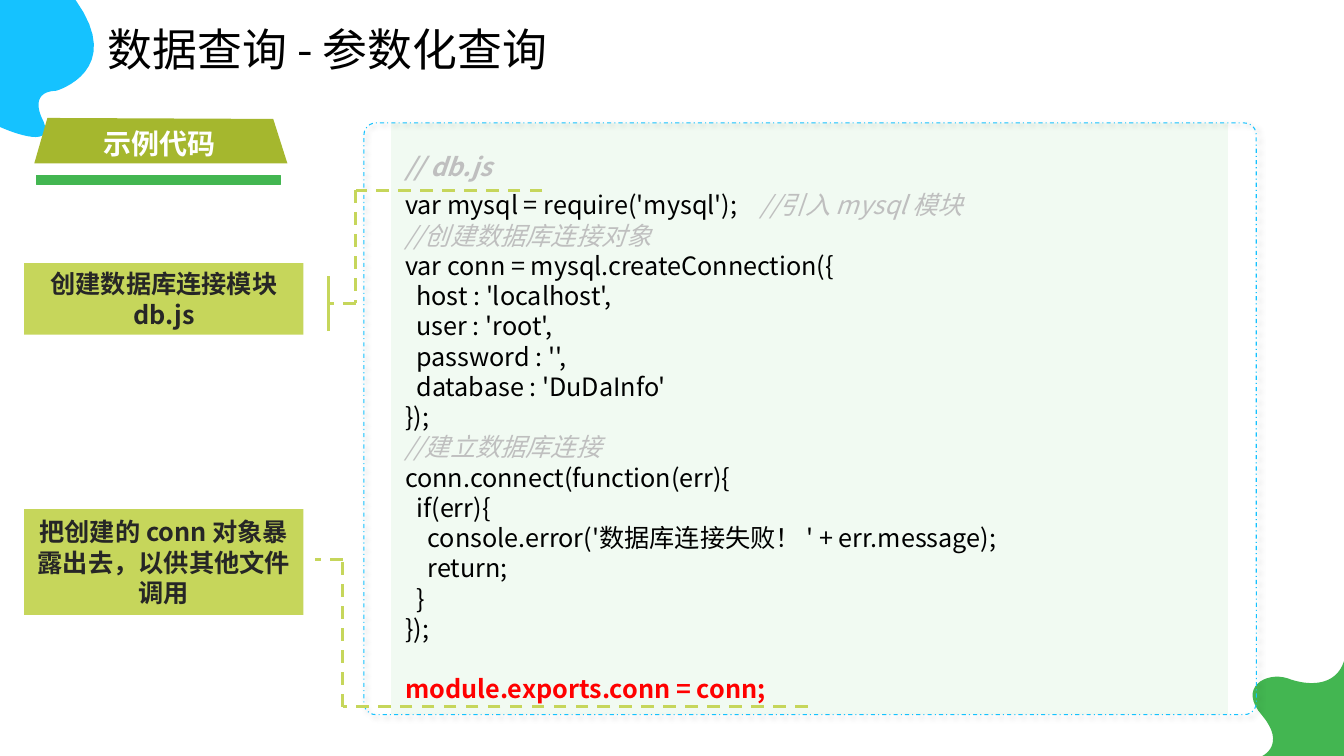
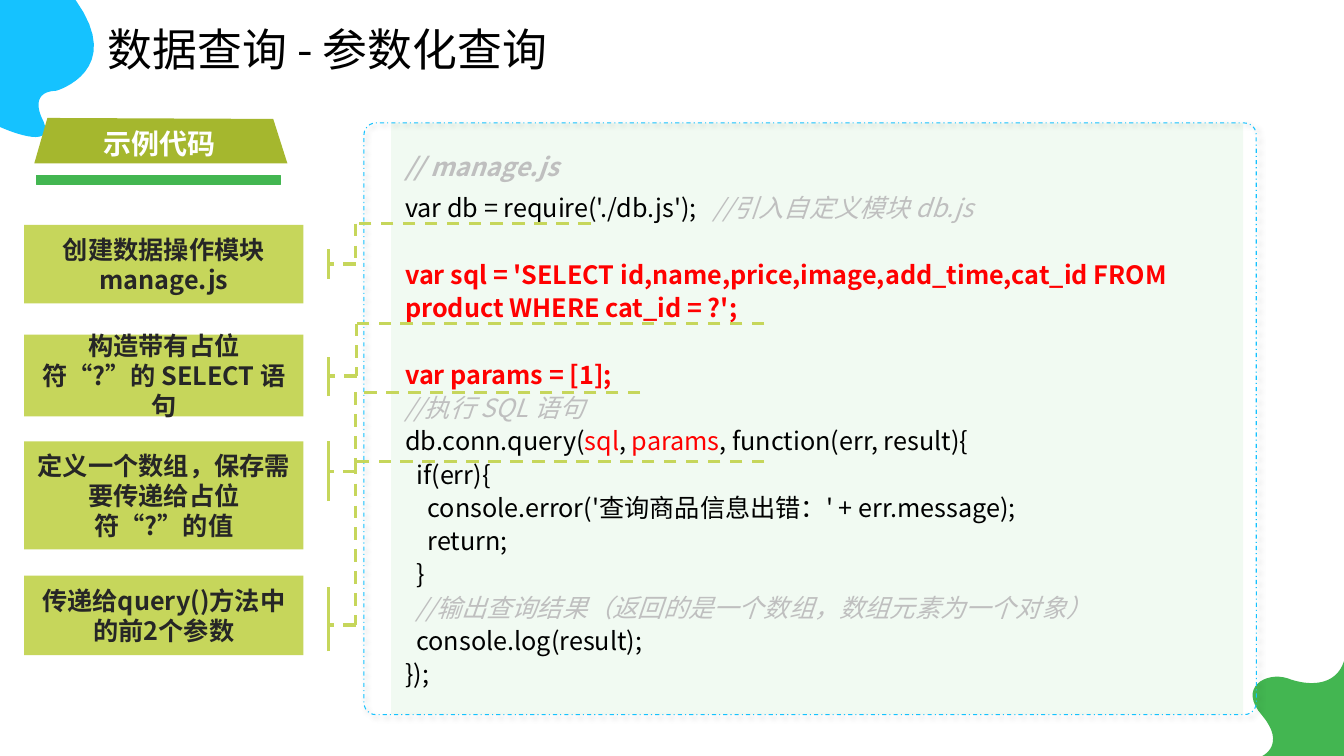
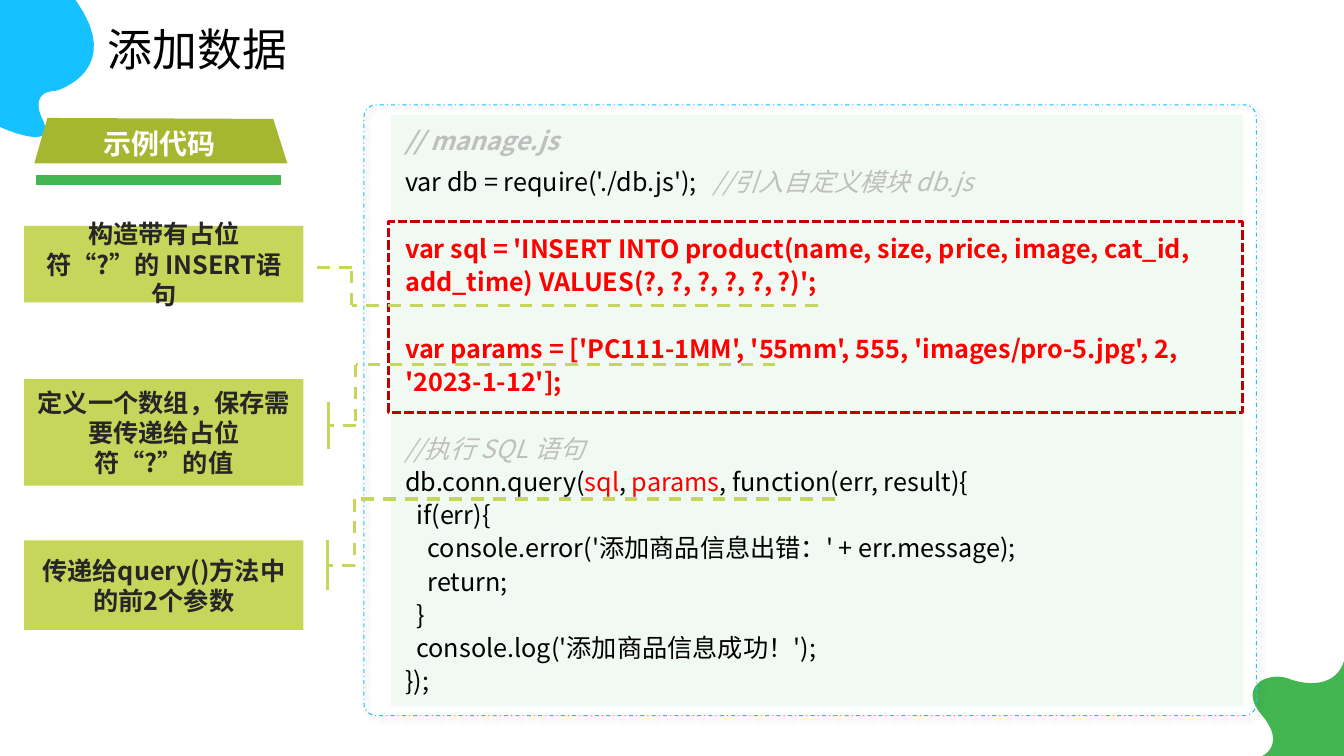
import math
import lxml.etree
import pptx
import pptx.dml.color
import pptx.enum.dml
import pptx.enum.shapes
import pptx.enum.text
import pptx.oxml.ns
import pptx.util

Inches = pptx.util.Inches
Pt = pptx.util.Pt
KIND = pptx.enum.shapes.MSO_SHAPE
DASH = pptx.enum.dml.MSO_LINE
ALIGN = pptx.enum.text.PP_ALIGN
FIT = pptx.enum.text.MSO_AUTO_SIZE
ANCHOR = pptx.enum.text.MSO_ANCHOR
STRAIGHT = pptx.enum.shapes.MSO_CONNECTOR.STRAIGHT
qn = pptx.oxml.ns.qn

FONT = "Noto Sans CJK SC"
BLUE, GREEN, OLIVE, LIME = "15C2FF", "43B651", "A5B72E", "C6D65B"
MINT, RED, CRIMSON, GRAY = "7DCF87", "FF0000", "C00000", "BFBFBF"
BLACK, WHITE, DARK = "000000", "FFFFFF", "262626"


def hue(code):
    return pptx.dml.color.RGBColor.from_string(code)


def put(para, text, size=18, color=BLACK, bold=False, slant=False):
    run = para.add_run()
    run.text = text
    font = run.font
    font.size, font.bold, font.italic = Pt(size), bold, slant
    font.color.rgb = hue(color)
    font.name = FONT
    lxml.etree.SubElement(run._r.get_or_add_rPr(), qn("a:ea"), typeface=FONT)


STYLES = {
    "head": dict(color=GRAY, bold=True, slant=True),
    "note": dict(color=GRAY, slant=True),
    "key": dict(color=RED, bold=True),
    "arg": dict(color=RED),
    "code": {},
}

OUTLINES = [
    (BLUE, (0, 1.26), [
        [(0, 1.26), (0.57, 1.52), (0.43, 1.2)],
        [(0.43, 1.2), (0.26, 0.91), (0.56, 0.9)],
        [(0.56, 0.9), (1.25, 0.7), (0.75, 0)],
        [(0, 0)]]),
    (GREEN, (12.52, 7.5), [
        [(12.52, 7.5), (12.76, 7.39), (12.52, 7.1)],
        [(12.27, 6.82), (12.56, 6.66), (12.77, 6.73)],
        [(12.98, 6.81), (13.25, 6.81), (13.33, 6.56)],
        [(13.33, 7.5)]]),
    (OLIVE, (0.47, 1.17), [[(2.71, 1.18)], [(2.85, 1.62)], [(0.34, 1.62)]]),
]

REQUIRE = [("var db = require('./db.js');   ", "code"), ("//引入自定义模块 db.js", "note")]
QUERY = [("db.conn.query(", "code"), ("sql", "arg"), (", ", "code"),
         ("params", "arg"), (", function(err, result){", "code")]
ARRAY = "定义一个数组，保存需要传递给占位符“?”的值"
PASS = "传递给query()方法中的前2个参数"

PAGES = [
    dict(
        title="数据查询 - 参数化查询", width=4.79,
        panel=(3.88, 1.22, 8.3, 5.87), frame=(3.61, 1.22, 8.85, 5.87),
        area=(3.92, 1.45, 9.07, 5.64), pitch=1.0, gap=21.6,
        code=[
            [("// db.js", "head")],
            [("var mysql = require('mysql');    ", "code"), ("//引入 mysql 模块", "note")],
            [("//创建数据库连接对象", "note")],
            "var conn = mysql.createConnection({",
            "  host : 'localhost',",
            "  user : 'root',",
            "  password : '',",
            "  database : 'DuDaInfo'",
            "});",
            [("//建立数据库连接", "note")],
            "conn.connect(function(err){",
            "  if(err){",
            "    console.error('数据库连接失败！ ' + err.message);",
            "    return;",
            "  }",
            "});",
            None,
            [("module.exports.conn = conn;", "key")]],
        notes=[
            ("把创建的 conn 对象暴露出去，以供其他文件调用", 5.05, 1.05,
             (8.01, 7.01), (3.4, 5.55), 3.12, None),
            ("创建数据库连接模块 db.js", 2.61, 0.71,
             (5.38, 1.89), (3.53, 3.01), 3.26, (2.74, 3.28))]),
    dict(
        title="数据查询 - 参数化查询", width=4.79,
        panel=(3.88, 1.22, 8.45, 5.87), frame=(3.61, 1.22, 8.85, 5.87),
        area=(3.92, 1.45, 8.54, 5.48), pitch=1.1, gap=23.8,
        code=[
            [("// manage.js", "head")],
            REQUIRE,
            None,
            [("var sql = 'SELECT id,name,price,image,add_time,cat_id FROM product WHERE cat_id = ?';", "key")],
            None,
            [("var params = [1];", "key")],
            [("//执行 SQL 语句", "note")],
            QUERY,
            "  if(err){",
            "    console.error('查询商品信息出错：' + err.message);",
            "    return;",
            "  }",
            [("  ", "code"), ("//输出查询结果（返回的是一个数组，数组元素为一个对象）", "note")],
            "  console.log(result);",
            "});"],
        notes=[
            ("创建数据操作模块 manage.js", 2.23, 0.78,
             (5.86, 2.22), (3.53, 2.62), 3.26, (2.47, 2.77)),
            ("构造带有占位符“?”的 SELECT 语句", 3.32, 0.81,
             (7.58, 3.21), (3.54, 3.73), 3.26, (3.54, 3.93)),
            (ARRAY, 4.38, 1.07, (6.35, 3.89), (3.53, 4.68), 3.26, (4.38, 4.97)),
            (PASS, 5.71, 0.79, (7.58, 4.58), (3.53, 6.2), 3.26, (5.82, 6.46))]),
    dict(
        title="添加数据", width=2.11,
        panel=(3.88, 1.14, 8.45, 5.87), frame=(3.61, 1.04, 8.85, 6.06),
        area=(3.92, 1.19, 8.54, 5.94), pitch=1.1, gap=23.8,
        mark=(3.85, 2.2, 8.47, 1.89),
        code=[
            [("// manage.js", "head")],
            REQUIRE,
            None,
            [("var sql = 'INSERT INTO product(name, size, price, image, cat_id, add_time) VALUES(?, ?, ?, ?, ?, ?)';", "key")],
            None,
            [("var params = ['PC111-1MM', '55mm', 555, 'images/pro-5.jpg', 2, '2023-1-12'];", "key")],
            None,
            [("//执行 SQL 语句", "note")],
            QUERY,
            "  if(err){",
            "    console.error('添加商品信息出错：' + err.message);",
            "    return;",
            "  }",
            "  console.log('添加商品信息成功！');",
            "});"],
        notes=[
            (PASS, 5.36, 0.89, (8.28, 4.95), (3.52, 5.61), 3.25, (5.36, 5.85)),
            (ARRAY, 3.76, 1.06, (7.69, 3.62), (3.53, 4.22), 3.26, (3.99, 4.45)),
            ("构造带有占位符“?”的 INSERT语句", 2.24, 0.76,
             (8.11, 3.03), (3.49, 2.65), 3.1, None)]),
]

deck = pptx.Presentation()
deck.slide_width, deck.slide_height = Inches(13.33), Inches(7.5)

for page in PAGES:
    slide = deck.slides.add_slide(deck.slide_layouts[5])
    shapes = slide.shapes

    title = shapes.title
    title.left, title.top = Inches(0.97), Inches(0.23)
    title.width, title.height = Inches(page["width"]), Inches(1.18)
    frame = title.text_frame
    frame.word_wrap, frame.auto_size = False, FIT.NONE
    frame.vertical_anchor = ANCHOR.TOP
    para = frame.paragraphs[0]
    para.alignment, para.line_spacing = ALIGN.LEFT, 0.9
    put(para, page["title"], size=32)

    for color, start, parts in OUTLINES:
        points = [start]
        for part in parts:
            knots = [points[-1]] + part
            rank = len(part)
            steps = 1 if rank == 1 else 16
            for step in range(1, steps + 1):
                t = step / steps
                shares = [math.comb(rank, i) * t**i * (1 - t)**(rank - i) for i in range(rank + 1)]
                points.append(tuple(sum(s * k[axis] for s, k in zip(shares, knots)) for axis in (0, 1)))
        spots = [(Inches(x), Inches(y)) for x, y in points]
        path = shapes.build_freeform(*spots[0])
        path.add_line_segments(spots[1:], close=True)
        shape = path.convert_to_shape()
        shape.shadow.inherit = False
        shape.fill.solid()
        shape.fill.fore_color.rgb = hue(color)
        shape.line.fill.background()

    boxes = [
        (KIND.RECTANGLE, page["panel"], MINT, None, 0, None),
        (KIND.ROUNDED_RECTANGLE, page["frame"], None, BLUE, 0.75, DASH.DASH_DOT),
        (KIND.RECTANGLE, (0.36, 1.74, 2.42, 0.09), GREEN, GREEN, 1, None)]
    if "mark" in page:
        boxes.append((KIND.RECTANGLE, page["mark"], None, CRIMSON, 2.25, DASH.SQUARE_DOT))
    for note in page["notes"]:
        boxes.append((KIND.RECTANGLE, (0.24, note[1], 2.77, note[2]), LIME, None, 0, note[0]))

    for kind, place, fill, edge, weight, extra in boxes:
        shape = shapes.add_shape(kind, *map(Inches, place))
        shape.shadow.inherit = False
        if fill:
            shape.fill.solid()
            shape.fill.fore_color.rgb = hue(fill)
        else:
            shape.fill.background()
        if edge:
            shape.line.color.rgb = hue(edge)
            shape.line.width = Pt(weight)
        else:
            shape.line.fill.background()
        if fill == MINT:
            tint = shape.element.spPr.find(".//" + qn("a:srgbClr"))
            lxml.etree.SubElement(tint, qn("a:alpha"), val="10000")
        if kind == KIND.ROUNDED_RECTANGLE:
            shape.adjustments[0] = 0.02
            glow = lxml.etree.SubElement(
                shape.element.spPr.find(qn("a:effectLst")), qn("a:outerShdw"),
                blurRad=str(Pt(4)), dist=str(Pt(3)), dir="2700000", rotWithShape="0")
            tint = lxml.etree.SubElement(glow, qn("a:srgbClr"), val=BLACK)
            lxml.etree.SubElement(tint, qn("a:alpha"), val="40000")
        if fill == LIME:
            frame = shape.text_frame
            frame.word_wrap, frame.vertical_anchor = True, ANCHOR.MIDDLE
            frame.paragraphs[0].alignment = ALIGN.CENTER
            put(frame.paragraphs[0], extra, color=DARK, bold=True)
        elif extra:
            shape.line.dash_style = extra

    label = shapes.add_textbox(*map(Inches, (0.93, 1.21, 1.31, 0.44))).text_frame
    label.word_wrap = False
    put(label.paragraphs[0], "示例代码", size=20, color=WHITE, bold=True)

    code = shapes.add_textbox(*map(Inches, page["area"])).text_frame
    code.word_wrap = True
    para, blank = code.paragraphs[0], False
    for row, line in enumerate(page["code"]):
        if line is None:
            blank = True
            continue
        if row:
            para = code.add_paragraph()
            para.line_spacing = page["pitch"]
        else:
            para.space_after = Pt(6)
        if blank:
            para.space_before = Pt(page["gap"])
            blank = False
        for text, style in [(line, "code")] if isinstance(line, str) else line:
            put(para, text, **STYLES[style])

    for text, top, height, (far, low), (spine, mid), near, tick in page["notes"]:
        lines = [(far, low, spine, low, DASH.DASH),
                 (spine, low, spine, mid, DASH.DASH),
                 (spine, mid, near, mid, DASH.DASH)]
        if tick:
            lines.append((near, tick[1], near, tick[0], DASH.SOLID))
        for *ends, dash in lines:
            wire = shapes.add_connector(STRAIGHT, *map(Inches, ends))
            wire.line.color.rgb = hue(LIME)
            wire.line.width = Pt(2.25)
            wire.line.dash_style = dash
            lxml.etree.SubElement(wire.element.spPr, qn("a:effectLst"))

deck.save("out.pptx")
